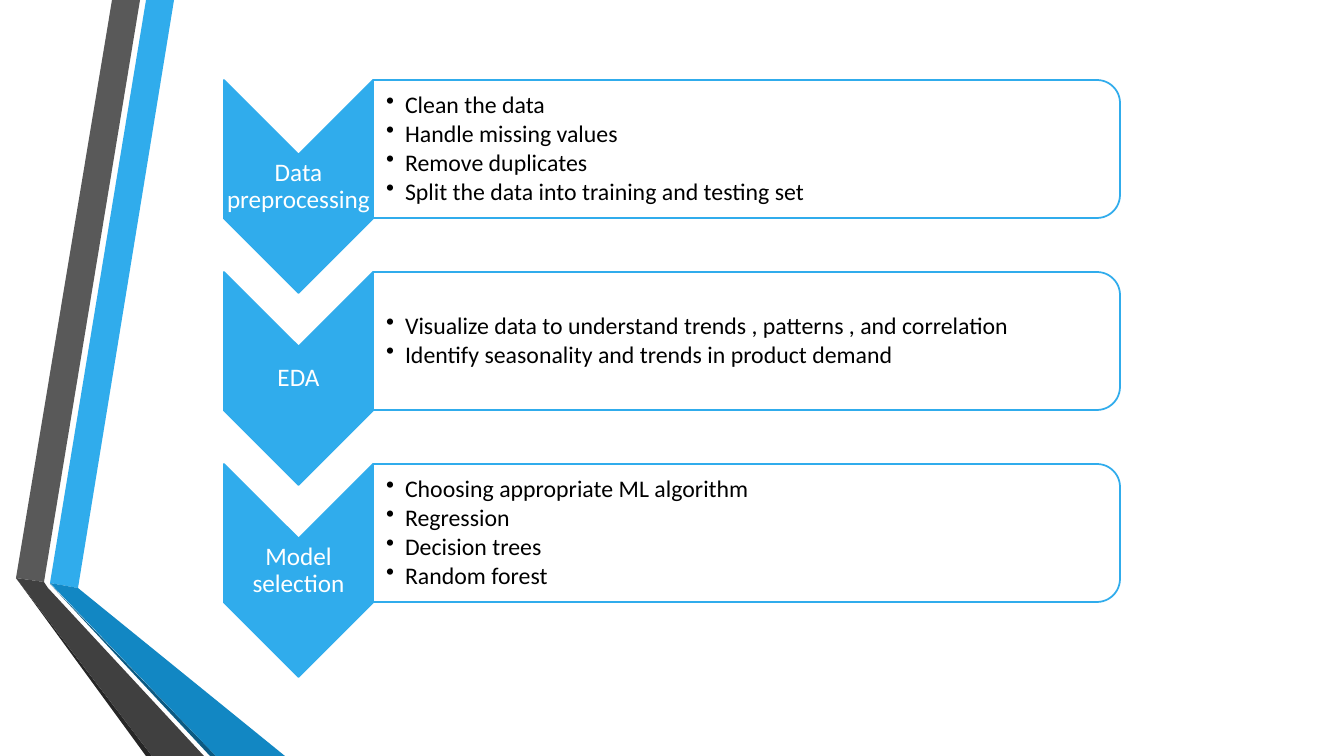
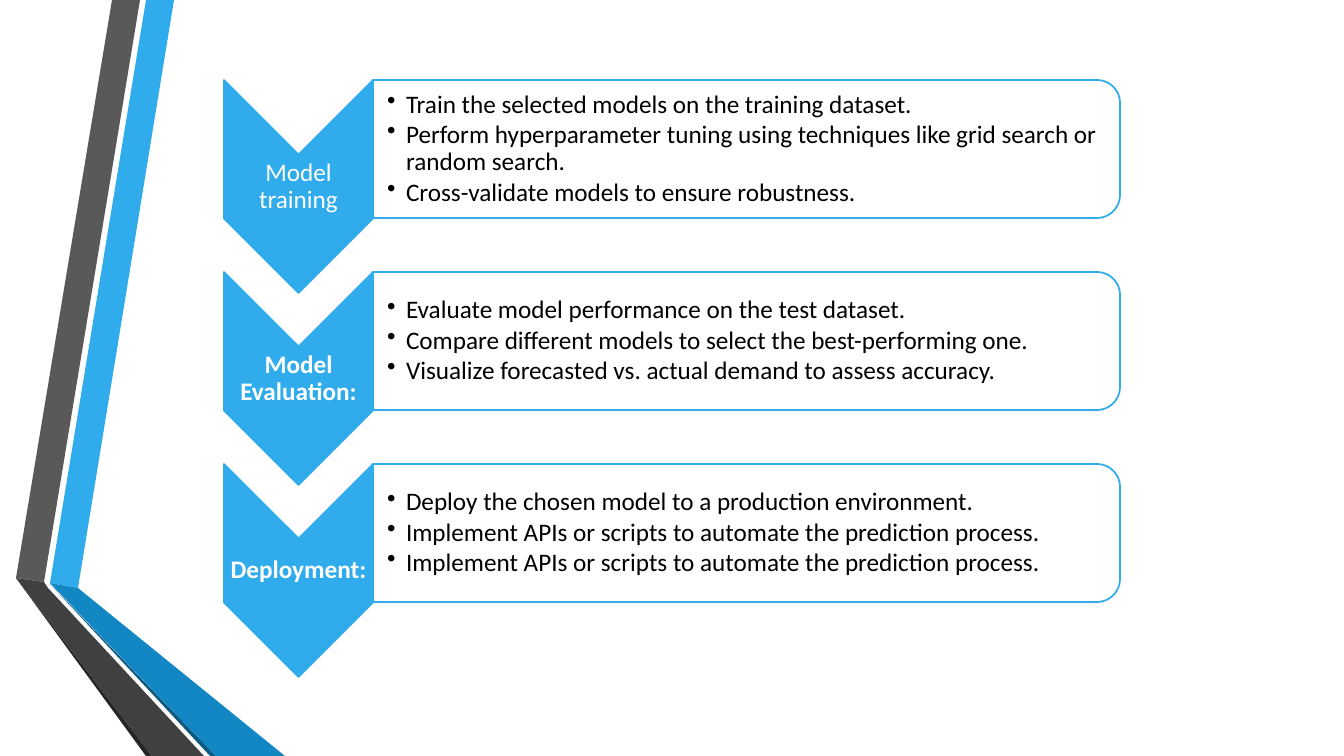
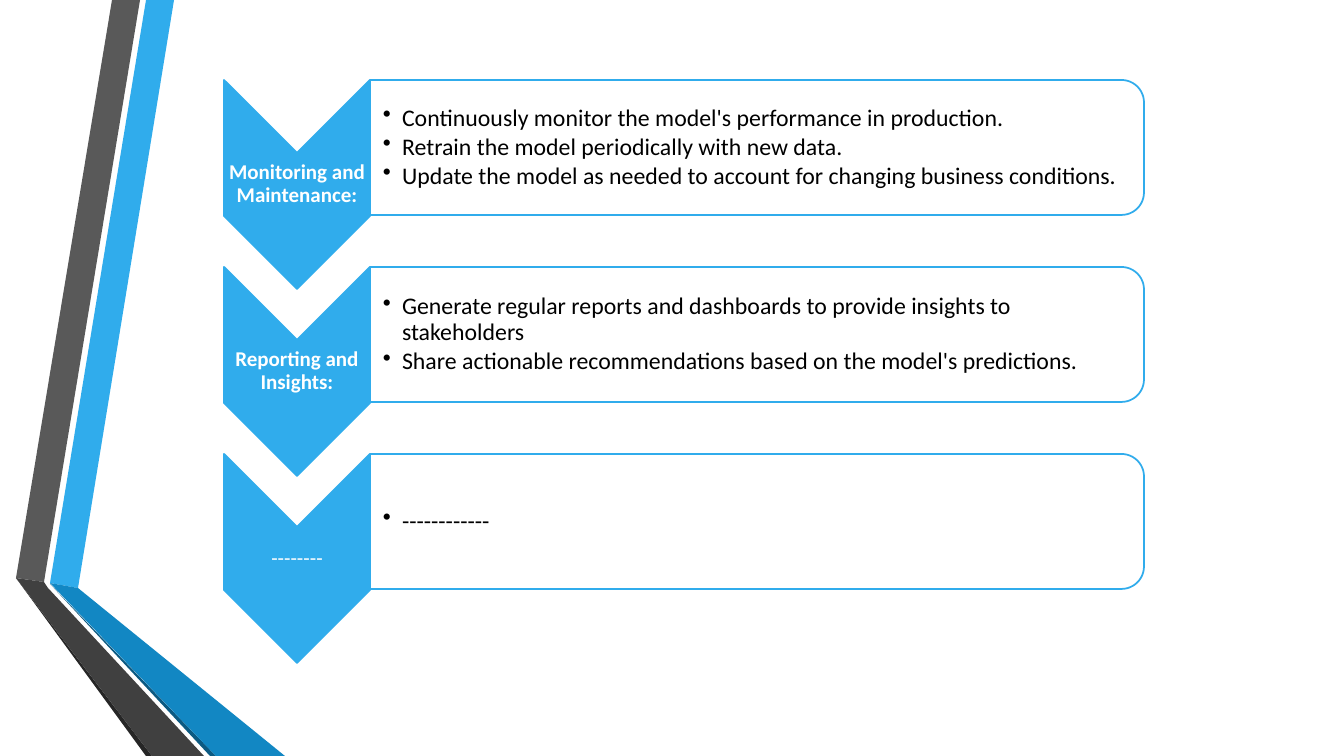
import lxml.etree
import pptx
import pptx.dml.color
import pptx.enum.shapes
import pptx.enum.text
import pptx.oxml.ns
import pptx.util

RGBColor = pptx.dml.color.RGBColor
MSO_SHAPE = pptx.enum.shapes.MSO_SHAPE
PP_ALIGN = pptx.enum.text.PP_ALIGN
qn = pptx.oxml.ns.qn

# Shared style
SLIDE_W, SLIDE_H = 1344, 756
EMU_PER_PX = 12192000 / SLIDE_W
FONT = "Calibri"
BLUE = RGBColor(0x30, 0xAC, 0xEC)
MID_BLUE = RGBColor(0x12, 0x87, 0xC3)
DEEP_BLUE = RGBColor(0x0C, 0x5A, 0x82)
GRAY = RGBColor(0x59, 0x59, 0x59)
DARK_GRAY = RGBColor(0x40, 0x40, 0x40)
NEAR_BLACK = RGBColor(0x26, 0x26, 0x26)
WHITE = RGBColor(0xFF, 0xFF, 0xFF)
BLACK = RGBColor(0x00, 0x00, 0x00)

# Folded ribbons at the left edge, back to front
RIBBONS = [
    (BLUE, [(50, 583), (78, 588), (174, 0), (146, 0)]),
    (GRAY, [(140, 0), (112, 0), (16, 578), (44, 582)]),
    (NEAR_BLACK, [(16, 578), (146, SLIDE_H), (152, SLIDE_H)]),
    (DEEP_BLUE, [(50, 584), (210, SLIDE_H), (216, SLIDE_H)]),
    (MID_BLUE, [(50, 583), (216, SLIDE_H), (285, SLIDE_H), (78, 588)]),
    (DARK_GRAY, [(16, 578), (152, SLIDE_H), (204, SLIDE_H), (48, 588), (44, 582)]),
]

# Row geometry: chevron size, panel size and distance between rows
WIDE_CHEVRONS = dict(top=80, pitch=192, chevron=(149, 213), panel=(747, 138))
WIDE_PANELS = dict(top=80, pitch=187, chevron=(146, 209), panel=(774, 135))
CHEVRON_LEFT = 224
PANEL_INSET = 7

# Each step: label, label is bold, bullets
SLIDES = [
    dict(geometry=WIDE_CHEVRONS, label_size=18, bullet_size=17, indent=13, steps=[
        ("Data preprocessing", False, [
            "Clean the data",
            "Handle missing values",
            "Remove duplicates",
            "Split the data into training and testing set"]),
        ("EDA", False, [
            "Visualize data to understand trends , patterns , and correlation",
            "Identify seasonality and trends in product demand"]),
        ("Model selection", False, [
            "Choosing appropriate ML algorithm",
            "Regression",
            "Decision trees",
            "Random forest"]),
    ]),
    dict(geometry=WIDE_CHEVRONS, label_size=18, bullet_size=18, indent=14, steps=[
        ("Model training", False, [
            "Train the selected models on the training dataset.",
            "Perform hyperparameter tuning using techniques like grid search or random search.",
            "Cross-validate models to ensure robustness."]),
        ("Model Evaluation:", True, [
            "Evaluate model performance on the test dataset.",
            "Compare different models to select the best-performing one.",
            "Visualize forecasted vs. actual demand to assess accuracy."]),
        ("Deployment:", True, [
            "Deploy the chosen model to a production environment.",
            "Implement APIs or scripts to automate the prediction process.",
            "Implement APIs or scripts to automate the prediction process."]),
    ]),
    dict(geometry=WIDE_PANELS, label_size=15, bullet_size=17, indent=13, steps=[
        ("Monitoring and Maintenance:", True, [
            "Continuously monitor the model's performance in production.",
            "Retrain the model periodically with new data.",
            "Update the model as needed to account for changing business conditions."]),
        ("Reporting and Insights:", True, [
            "Generate regular reports and dashboards to provide insights to stakeholders",
            "Share actionable recommendations based on the model's predictions."]),
        ("--------", False, ["------------"]),
    ]),
]


def px(length):
    return pptx.util.Emu(round(length * EMU_PER_PX))


class Deck:
    def __init__(self):
        self.prs = pptx.Presentation()
        self.prs.slide_width, self.prs.slide_height = px(SLIDE_W), px(SLIDE_H)
        self.slide = None

    def new_slide(self):
        self.slide = self.prs.slides.add_slide(self.prs.slide_layouts[6])
        for color, points in RIBBONS:
            self.ribbon(color, points)

    def ribbon(self, color, points):
        outline = self.slide.shapes.build_freeform(*points[0], scale=EMU_PER_PX)
        outline.add_line_segments(points[1:], close=True)
        ribbon = outline.convert_to_shape()
        ribbon.shadow.inherit = False
        ribbon.fill.solid()
        ribbon.fill.fore_color.rgb = color
        ribbon.line.fill.background()

    def turned_shape(self, kind, left, top, width, height, fill, opacity=100):
        """Add a shape turned by 90 degrees that covers the given box."""
        shape = self.slide.shapes.add_shape(
            kind, px(left + (width - height) / 2), px(top + (height - width) / 2),
            px(height), px(width))
        shape.rotation = 90
        shape.shadow.inherit = False
        shape.fill.solid()
        shape.fill.fore_color.rgb = fill
        shape.line.color.rgb = BLUE
        shape.line.width = pptx.util.Pt(1.25)
        if opacity < 100:
            color = shape.fill._xPr.find(qn("a:solidFill"))[0]
            lxml.etree.SubElement(color, qn("a:alpha"), val=str(opacity * 1000))

    def text(self, left, top, width, height, lines, size, color, indent=1, bold=False):
        box = self.slide.shapes.add_textbox(px(left), px(top), px(width), px(height))
        frame = box.text_frame
        frame.word_wrap = True
        frame.vertical_anchor = pptx.enum.text.MSO_ANCHOR.MIDDLE
        frame.margin_left = px(indent)
        frame.margin_top = frame.margin_right = frame.margin_bottom = px(1)
        frame.text = "\n".join(lines)
        for paragraph in frame.paragraphs:
            paragraph.line_spacing = 0.9
            font = paragraph.runs[0].font
            font.name, font.size, font.bold = FONT, pptx.util.Pt(size), bold
            font.color.rgb = color
        return frame.paragraphs

    def label(self, *box, text, size, bold):
        for paragraph in self.text(*box, [text], size, WHITE, bold=bold):
            paragraph.alignment = PP_ALIGN.CENTER

    def bullets(self, *box, lines, size, indent):
        for paragraph in self.text(*box, lines, size, BLACK, indent=indent):
            paragraph.space_after = pptx.util.Pt(2.3)
            props = paragraph._p.get_or_add_pPr()
            props.set("marL", str(px(19)))
            props.set("indent", str(-px(19)))
            lxml.etree.SubElement(props, qn("a:buChar"), char="\u2022")

    def step(self, top, chevron, panel, title, bold, lines, label_size, bullet_size, indent):
        chevron_w, chevron_h = chevron
        panel_w, panel_h = panel
        panel_left = CHEVRON_LEFT + chevron_w
        self.turned_shape(MSO_SHAPE.CHEVRON, CHEVRON_LEFT, top, chevron_w, chevron_h, BLUE)
        # The label fills the chevron between its notch and its point
        self.label(CHEVRON_LEFT, top + chevron_w / 2, chevron_w, chevron_h - chevron_w,
                   text=title, size=label_size, bold=bold)
        self.turned_shape(MSO_SHAPE.ROUND_2_SAME_RECTANGLE, panel_left, top,
                          panel_w, panel_h, WHITE, opacity=90)
        self.bullets(panel_left, top + PANEL_INSET, panel_w - PANEL_INSET,
                     panel_h - 2 * PANEL_INSET,
                     lines=lines, size=bullet_size, indent=indent)


# Build the slides
deck = Deck()
for content in SLIDES:
    deck.new_slide()
    geometry = content["geometry"]
    for row, (title, bold, lines) in enumerate(content["steps"]):
        deck.step(geometry["top"] + row * geometry["pitch"],
                  geometry["chevron"], geometry["panel"], title, bold, lines,
                  content["label_size"], content["bullet_size"], content["indent"])
deck.prs.save("out.pptx")
